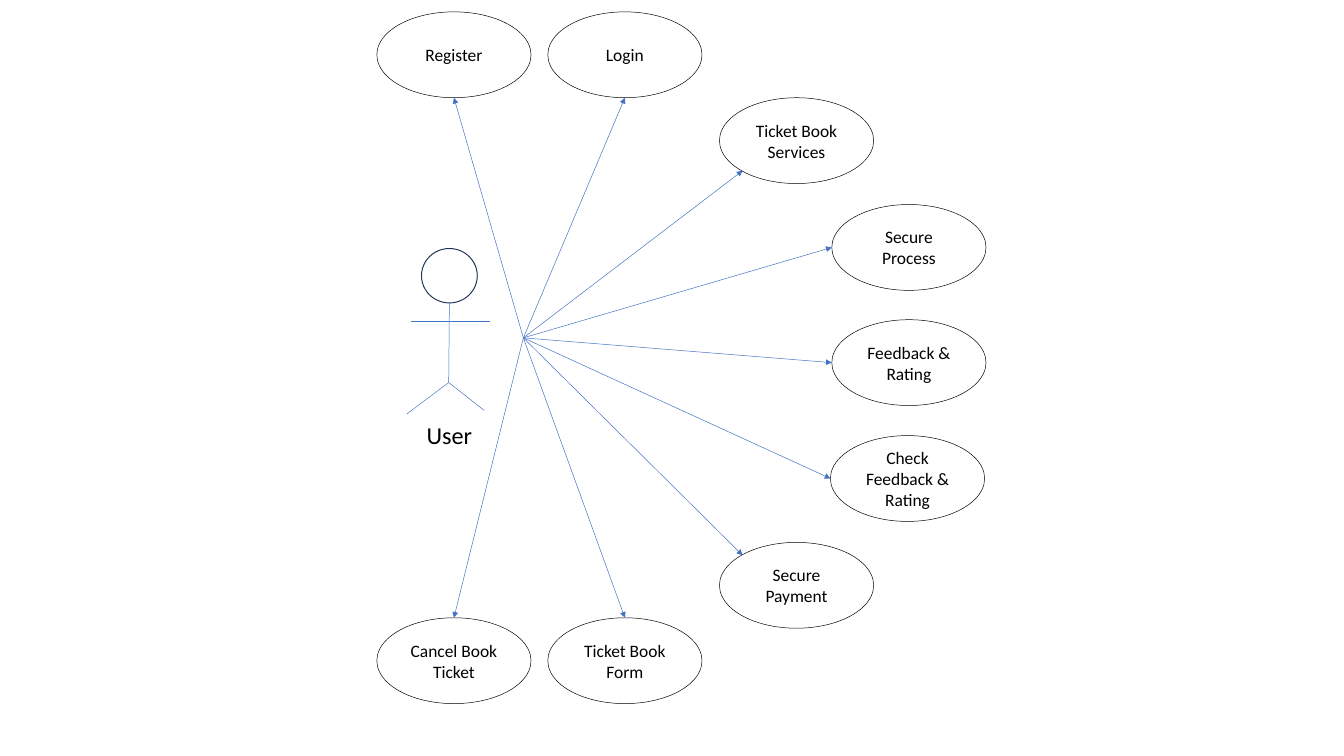
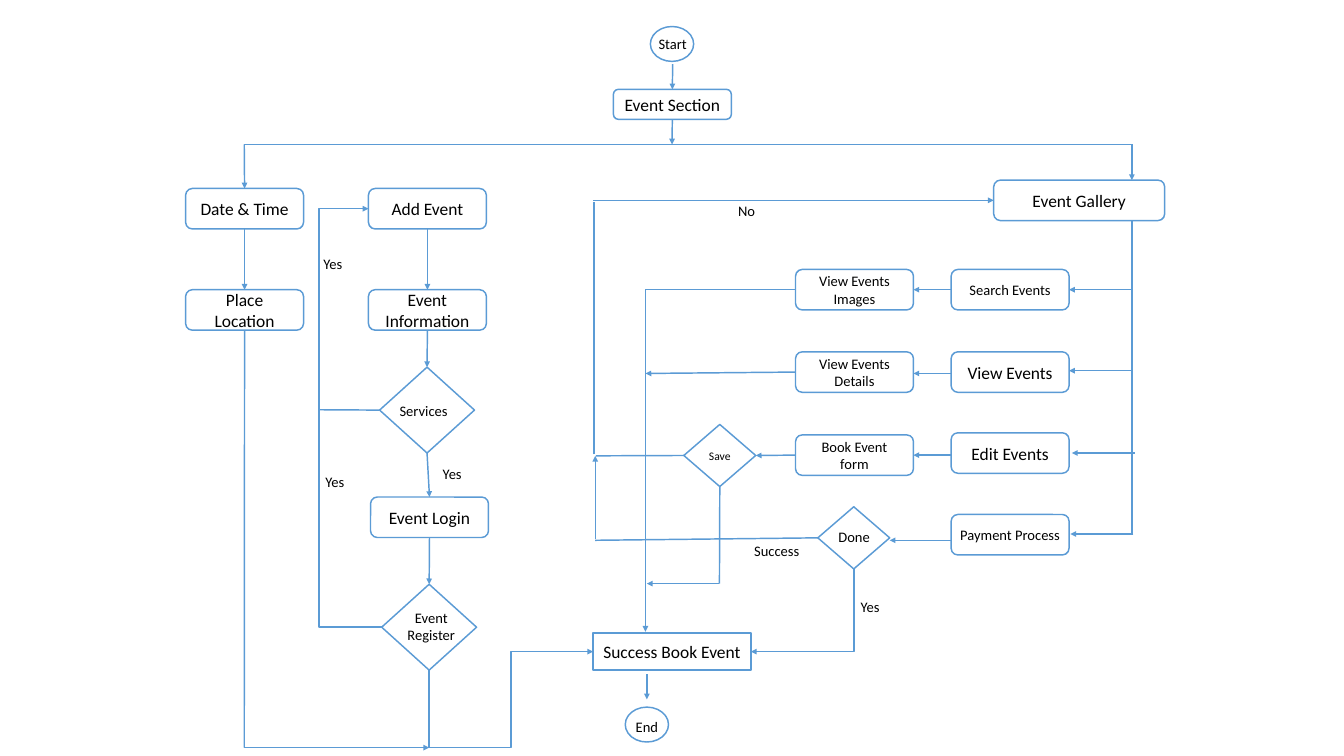
from dataclasses import dataclass

from lxml import etree
from pptx import Presentation
from pptx import util as u
from pptx.dml.color import RGBColor
from pptx.enum import shapes, text
from pptx.oxml.ns import qn


@dataclass(frozen=True)
class Theme:
    font: str = "Calibri"
    ink: str = "000000"
    paper: str = "FFFFFF"
    head: str = "1E3256"
    ray: str = "4472C4"
    flow: str = "5B9BD5"
    actor: int = 25
    body: int = 18
    label: int = 15
    small: int = 12
    hair: float = 0.5
    medium: float = 1
    thick: float = 1.5


T = Theme()
Inches = u.Inches
KIND = shapes.MSO_SHAPE
ROUND, DIAMOND, OVAL, RECT = KIND.ROUNDED_RECTANGLE, KIND.DIAMOND, KIND.OVAL, KIND.RECTANGLE
TOP, LEFT, BOTTOM, RIGHT = range(4)


def add_node(s, kind, at, words="", size=T.body, color=T.flow, width=T.thick):
    box = [Inches(v) for v in at]
    if kind is None:
        sp = s.shapes.add_textbox(*box)
        sp.text_frame.auto_size = text.MSO_AUTO_SIZE.SHAPE_TO_FIT_TEXT
    else:
        sp = s.shapes.add_shape(kind, *box)
        sp.shadow.inherit = False
        sp.fill.solid()
        sp.fill.fore_color.rgb = RGBColor.from_string(T.paper)
        sp.line.color.rgb = RGBColor.from_string(color)
        sp.line.width = u.Pt(width)
        sp.text_frame.vertical_anchor = text.MSO_ANCHOR.MIDDLE
    tf = sp.text_frame
    tf.word_wrap = True
    tf.text = words
    for p in tf.paragraphs:
        p.alignment = text.PP_ALIGN.CENTER
        for r in p.runs:
            r.font.name = T.font
            r.font.size = u.Pt(size)
            r.font.color.rgb = RGBColor.from_string(T.ink)
    return sp


def add_link(s, start, end, arrow="tailEnd", color=T.flow, width=T.thick, elbow=False):
    kind = shapes.MSO_CONNECTOR.ELBOW if elbow else shapes.MSO_CONNECTOR.STRAIGHT
    free = [(0, 0) if isinstance(e[0], str) else e for e in (start, end)]
    c = s.shapes.add_connector(kind, *[Inches(v) for e in free for v in e])
    for e, join in ((start, c.begin_connect), (end, c.end_connect)):
        if isinstance(e[0], str):
            join(nodes[e[0]], e[1])
    c.line.color.rgb = RGBColor.from_string(color)
    c.line.width = u.Pt(width)
    sp_pr = c.element.spPr
    if arrow:
        etree.SubElement(sp_pr.find(qn("a:ln")), qn("a:" + arrow), type="triangle")
    etree.SubElement(sp_pr, qn("a:effectLst"))
    return c


prs = Presentation()
prs.slide_width, prs.slide_height = Inches(19.26), Inches(10.83)
blank = prs.slide_layouts[6]
nodes = {}

s = prs.slides.add_slide(blank)
user = add_node(s, None, (6.01, 5.97, 0.86, 0.52), "User", T.actor)
user.text_frame.word_wrap = False

add_node(s, OVAL, (6.04, 3.56, 0.8, 0.78), color=T.head, width=T.medium)
for start, end in [
    ((6.44, 4.33), (6.43, 5.48)),
    ((6.43, 5.48), (5.83, 5.93)),
    ((6.43, 5.48), (6.94, 5.88)),
    ((5.89, 4.6), (7.02, 4.6)),
]:
    add_link(s, start, end, None, T.ray, T.hair)

hub = (7.5, 4.84)
case_w, case_h = 2.21, 1.23
below, above, beside = (0.5, 1), (0.5, 0), (0, 0.5)
lower_left, upper_left = (0.15, 0.85), (0.15, 0.15)
for words, x, y, (fx, fy) in [
    ("Register", 5.4, 0.17, below),
    ("Login", 7.85, 0.17, below),
    ("Ticket Book Services", 10.31, 1.4, lower_left),
    ("Secure Process", 11.92, 2.93, beside),
    ("Feedback & Rating", 11.92, 4.58, beside),
    ("Check Feedback & Rating", 11.9, 6.24, beside),
    ("Secure Payment", 10.31, 7.77, upper_left),
    ("Ticket Book Form", 7.85, 8.85, above),
    ("Cancel Book Ticket", 5.4, 8.85, above),
]:
    add_node(s, OVAL, (x, y, case_w, case_h), words, color=T.ink, width=T.hair)
    add_link(s, hub, (x + fx * case_w, y + fy * case_h), color=T.ray, width=T.hair)

s = prs.slides.add_slide(blank)
step_w, step_h = 1.69, 0.58
for words, x, y, size in [
    ("Date & Time", 2.66, 2.7, T.body),
    ("Place Location", 2.66, 4.15, T.body),
    ("Add Event", 5.28, 2.7, T.body),
    ("Event Information", 5.28, 4.15, T.body),
    ("Event Login", 5.31, 7.12, T.body),
    ("Search Events", 13.63, 3.86, T.label),
    ("View Events", 13.63, 5.04, T.body),
    ("Edit Events", 13.63, 6.2, T.body),
    ("Payment Process", 13.63, 7.37, T.label),
    ("View Events\nImages", 11.4, 3.86, T.label),
    ("View Events\nDetails", 11.4, 5.04, T.label),
    ("Book Event\nform", 11.4, 6.23, T.label),
]:
    nodes[words] = add_node(s, ROUND, (x, y, step_w, step_h), words, size)
tf = nodes["Payment Process"].text_frame
tf.margin_left = tf.margin_right = Inches(0.05)

for name, kind, at, words, size in [
    ("Event Section", ROUND, (8.79, 1.28, step_w, 0.43), "Event Section", T.body),
    ("Event Gallery", ROUND, (14.24, 2.58, 2.45, step_h), "Event Gallery", T.body),
    ("Success Book Event", RECT, (8.5, 9.07, 2.26, 0.53), "Success Book Event", T.body),
    ("Services", DIAMOND, (5.44, 5.26, 1.36, 1.23), "", T.label),
    ("Event Register", DIAMOND, (5.47, 8.37, 1.36, 1.23), "", T.label),
    ("Save", DIAMOND, (9.8, 6.08, 1.03, 0.89), "Save", T.small),
    ("Done", DIAMOND, (11.72, 7.26, 1.03, 0.89), "", T.label),
    ("Start", OVAL, (9.32, 0.38, 0.62, 0.5), "", T.label),
    ("End", OVAL, (8.96, 10.13, 0.62, 0.5), "", T.label),
]:
    nodes[name] = add_node(s, kind, at, words, size)

for start, end in [
    ((3.5, 2.07), (16.22, 2.07)),
    (("Place Location", BOTTOM), (3.5, 10.71)),
    (("Event Register", BOTTOM), (6.15, 10.71)),
    ((16.22, 3.16), (16.22, 7.67)),
    (("Services", LEFT), (4.57, 5.87)),
    (("Save", LEFT), (8.54, 6.53)),
    (("Done", LEFT), (8.53, 7.74)),
    ((8.51, 6.51), (8.51, 2.89)),
    (("View Events\nImages", LEFT), (9.25, 4.15)),
    (("Save", BOTTOM), (10.31, 8.36)),
]:
    add_link(s, start, end, None)

for start, end in [
    ((9.64, 0.92), ("Event Section", TOP)),
    (("Event Section", BOTTOM), (9.63, 2.07)),
    ((3.5, 2.07), ("Date & Time", TOP)),
    (("Date & Time", BOTTOM), ("Place Location", TOP)),
    ((3.5, 10.71), (6.15, 10.71)),
    (("Add Event", BOTTOM), ("Event Information", TOP)),
    (("Event Information", BOTTOM), ("Services", TOP)),
    (("Services", BOTTOM), ("Event Login", TOP)),
    (("Event Login", BOTTOM), ("Event Register", TOP)),
    ((16.22, 2.07), (16.22, 2.58)),
    ((16.22, 4.15), ("Search Events", RIGHT)),
    ((16.22, 5.31), (15.32, 5.31)),
    ((16.26, 6.49), (15.36, 6.49)),
    ((16.24, 7.65), (15.34, 7.65)),
    (("Search Events", LEFT), ("View Events\nImages", RIGHT)),
    ((13.63, 5.35), (13.09, 5.35)),
    ((13.63, 6.52), ("Book Event\nform", RIGHT)),
    (("Book Event\nform", LEFT), ("Save", RIGHT)),
    ((13.63, 7.74), (12.75, 7.74)),
    (("View Events\nDetails", LEFT), (9.25, 5.35)),
    ((8.53, 7.72), (8.53, 6.53)),
    ((8.5, 2.87), ("Event Gallery", LEFT)),
    ((9.25, 4.15), (9.25, 9.05)),
    ((10.31, 8.36), (9.27, 8.36)),
    ((9.27, 9.66), (9.27, 10.02)),
]:
    add_link(s, start, end)

add_link(s, (6.15, 10.71), ("Success Book Event", LEFT), elbow=True)

retry = add_link(s, ("Event Register", LEFT), ("Add Event", LEFT), elbow=True)
bend = round((5.47 - 4.57) / (5.47 - 5.28) * 100000)
guides = retry.element.spPr.find(qn("a:prstGeom")).find(qn("a:avLst"))
etree.SubElement(guides, qn("a:gd"), name="adj1", fmla=f"val {bend}")

finish = add_link(s, ("Success Book Event", RIGHT), ("Done", BOTTOM), "headEnd", elbow=True)
finish.element.spPr.find(qn("a:prstGeom")).set("prst", "bentConnector2")

for words, x, y in [
    ("Start", 8.8, 0.45),
    ("End", 8.43, 10.23),
    ("Success", 10.29, 7.71),
    ("No", 9.86, 2.85),
    ("Yes", 5.64, 6.61),
    ("Yes", 3.93, 3.61),
    ("Yes", 3.96, 6.73),
    ("Done", 11.4, 7.51),
    ("Services", 5.23, 5.71),
    ("Event\nRegister", 5.34, 8.67),
    ("Yes", 11.63, 8.52),
]:
    height = 0.35 + 0.26 * words.count("\n")
    add_node(s, None, (x, y, 1.68, height), words, T.label)

prs.save("out.pptx")
